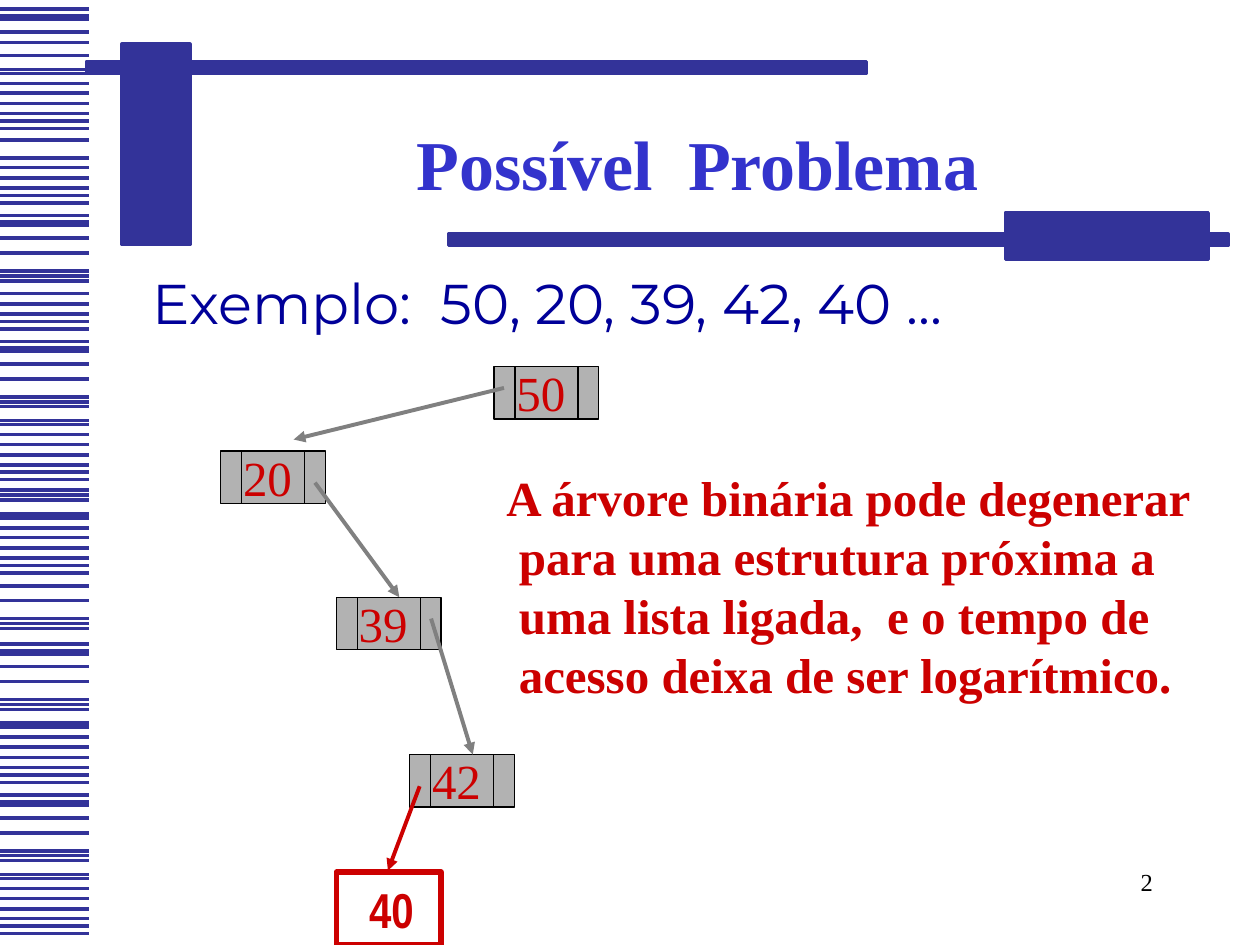
from dataclasses import dataclass
from typing import Optional

from lxml.etree import SubElement
from pptx import Presentation
from pptx.dml.color import RGBColor
from pptx.enum.shapes import MSO_CONNECTOR, MSO_SHAPE
from pptx.enum.text import MSO_ANCHOR, PP_ALIGN
from pptx.oxml.ns import qn
from pptx.util import Cm, Pt


@dataclass(frozen=True)
class Theme:
    bar: str = "333399"
    title: str = "3333CC"
    example: str = "000099"
    accent: str = "CC0000"
    node: str = "B2B2B2"
    link: str = "808080"
    ink: str = "000000"
    serif: str = "Times New Roman"
    sans: str = "Montserrat"
    narrow: str = "Arial Narrow"
    title_size: int = 40
    example_size: int = 32
    body_size: int = 28
    number_size: int = 14


@dataclass(frozen=True)
class Box:
    x: float
    y: float
    w: float
    h: float


@dataclass(frozen=True)
class Style:
    font: str
    size: int
    color: str
    bold: bool = False
    align: PP_ALIGN = PP_ALIGN.LEFT
    anchor: MSO_ANCHOR = MSO_ANCHOR.TOP


@dataclass(frozen=True)
class Band:
    """A slice of the stripe pattern, shifted down to top."""
    top: float
    first: int = 0
    last: int = 16


@dataclass(frozen=True)
class Node:
    key: str
    x: float
    y: float


@dataclass(frozen=True)
class Link:
    x1: float
    y1: float
    x2: float
    y2: float
    color: str


T = Theme()
STRIPES = (0, 0.13, 0.2, 0.46, 0.76, 1.12, 1.22, 1.32,
           1.6, 1.68, 1.88, 2.08, 2.29, 2.49, 2.64, 2.79)
BANDS = (
    Band(16.03), Band(12.98), Band(11.35, 3, 8), Band(8.76, 5), Band(6.88),
    Band(4.34, 0, 8), Band(3.84, 11), Band(2.06, 4, 6), Band(1.3, 11),
    Band(-0.2, 8), Band(1.12, 0, 1), Band(0.86, 0, 1), Band(0.18, 0, 4),
)
BARS = (Box(2.46, 0.89, 1.37, 4.04), Box(1.75, 1.24, 15.72, 0.23),
        Box(20.27, 4.29, 4.09, 0.94), Box(9.04, 4.72, 15.72, 0.23))
NODES = (Node("50", 9.96, 7.39), Node("20", 4.45, 9.09),
         Node("39", 6.78, 12.04), Node("42", 8.26, 15.21))
NODE_W, NODE_H = 2.11, 1.06
DIVIDERS = (0.42, 1.69)
LINKS = (Link(10.16, 7.82, 5.92, 8.86, T.link),
         Link(6.35, 9.73, 8.05, 12.04, T.link),
         Link(8.69, 12.47, 9.53, 15.21, T.link),
         Link(8.46, 15.85, 7.82, 17.55, T.accent))
WARNING = ("A árvore binária pode degenerar", "para uma estrutura próxima a",
           "uma lista ligada,  e o tempo de", "acesso deixa de ser logarítmico.")


def add_rect(shapes, box: Box, fill: Optional[str], line: str, width: float) -> None:
    sp = shapes.add_shape(MSO_SHAPE.RECTANGLE, Cm(box.x), Cm(box.y), Cm(box.w), Cm(box.h))
    sp.shadow.inherit = False
    if fill:
        sp.fill.solid()
        sp.fill.fore_color.rgb = RGBColor.from_string(fill)
    else:
        sp.fill.background()
    sp.line.color.rgb = RGBColor.from_string(line)
    sp.line.width = Pt(width)


def add_line(shapes, x1: float, y1: float, x2: float, y2: float,
             color: str, width: float, arrow: bool = False) -> None:
    cx = shapes.add_connector(MSO_CONNECTOR.STRAIGHT, Cm(x1), Cm(y1), Cm(x2), Cm(y2))
    cx.line.color.rgb = RGBColor.from_string(color)
    cx.line.width = Pt(width)
    if arrow:
        SubElement(cx.line._get_or_add_ln(), qn("a:tailEnd"), type="triangle")
    SubElement(cx._element.spPr, qn("a:effectLst"))


def add_text(shapes, box: Box, lines: tuple[str, ...], style: Style,
             indent: float = 0) -> None:
    """Write one paragraph per line; every line after the first is indented."""
    tb = shapes.add_textbox(Cm(box.x), Cm(box.y), Cm(box.w), Cm(box.h))
    tf = tb.text_frame
    tf.word_wrap = True
    tf.vertical_anchor = style.anchor
    for i, line in enumerate(lines):
        p = tf.add_paragraph() if i else tf.paragraphs[0]
        p.alignment = style.align
        if i and indent:
            p._p.get_or_add_pPr().set("marL", str(Cm(indent)))
        r = p.add_run()
        r.text = line
        r.font.name = style.font
        r.font.size = Pt(style.size)
        r.font.bold = style.bold
        r.font.color.rgb = RGBColor.from_string(style.color)


def add_node(shapes, node: Node) -> None:
    g = shapes.add_group_shape().shapes
    add_rect(g, Box(node.x, node.y, NODE_W, NODE_H), T.node, T.ink, 0.75)
    for dx in DIVIDERS:
        add_line(g, node.x + dx, node.y, node.x + dx, node.y + NODE_H, T.ink, 0.75)
    add_text(g, Box(node.x + 0.2, node.y - 0.2, NODE_W, 1.44), (node.key,),
             Style(T.serif, T.body_size, T.accent))


def add_stripes(shapes) -> None:
    g = shapes.add_group_shape().shapes
    for band in BANDS:
        for dy in STRIPES[band.first:band.last]:
            add_line(g, 0, band.top + dy, 1.8, band.top + dy, T.bar, 2)


def main() -> None:
    prs = Presentation()
    prs.slide_width, prs.slide_height = Cm(25.4), Cm(19.05)
    s = prs.slides.add_slide(prs.slide_layouts[6])
    shapes = s.shapes

    add_text(shapes, Box(18.21, 17.35, 5.28, 1.27), ("2",),
             Style(T.serif, T.number_size, T.ink, align=PP_ALIGN.RIGHT))
    add_stripes(shapes)
    for bar in BARS:
        add_rect(shapes, bar, T.bar, T.bar, 2)
    add_text(shapes, Box(2.83, 5.28, 21.3, 2.11), ("Exemplo:  50, 20, 39, 42, 40 ...",),
             Style(T.sans, T.example_size, T.example))
    add_text(shapes, Box(3.81, 1.68, 20.5, 3.18), ("Possível  Problema",),
             Style(T.serif, T.title_size, T.title, True, PP_ALIGN.CENTER, MSO_ANCHOR.MIDDLE))

    for node in NODES:
        add_node(shapes, node)
    for k in LINKS:
        add_line(shapes, k.x1, k.y1, k.x2, k.y2, k.color, 2.25, arrow=True)

    add_text(shapes, Box(9.96, 9.3, 14.81, 5), WARNING,
             Style(T.serif, T.body_size, T.accent, True), indent=0.25)
    add_rect(shapes, Box(6.78, 17.58, NODE_W, 1.47), None, T.accent, 3)
    add_text(shapes, Box(7.19, 17.6, 1.42, 1.44), ("40",),
             Style(T.narrow, T.body_size, T.accent, True))
    prs.save("out.pptx")


if __name__ == "__main__":
    main()
